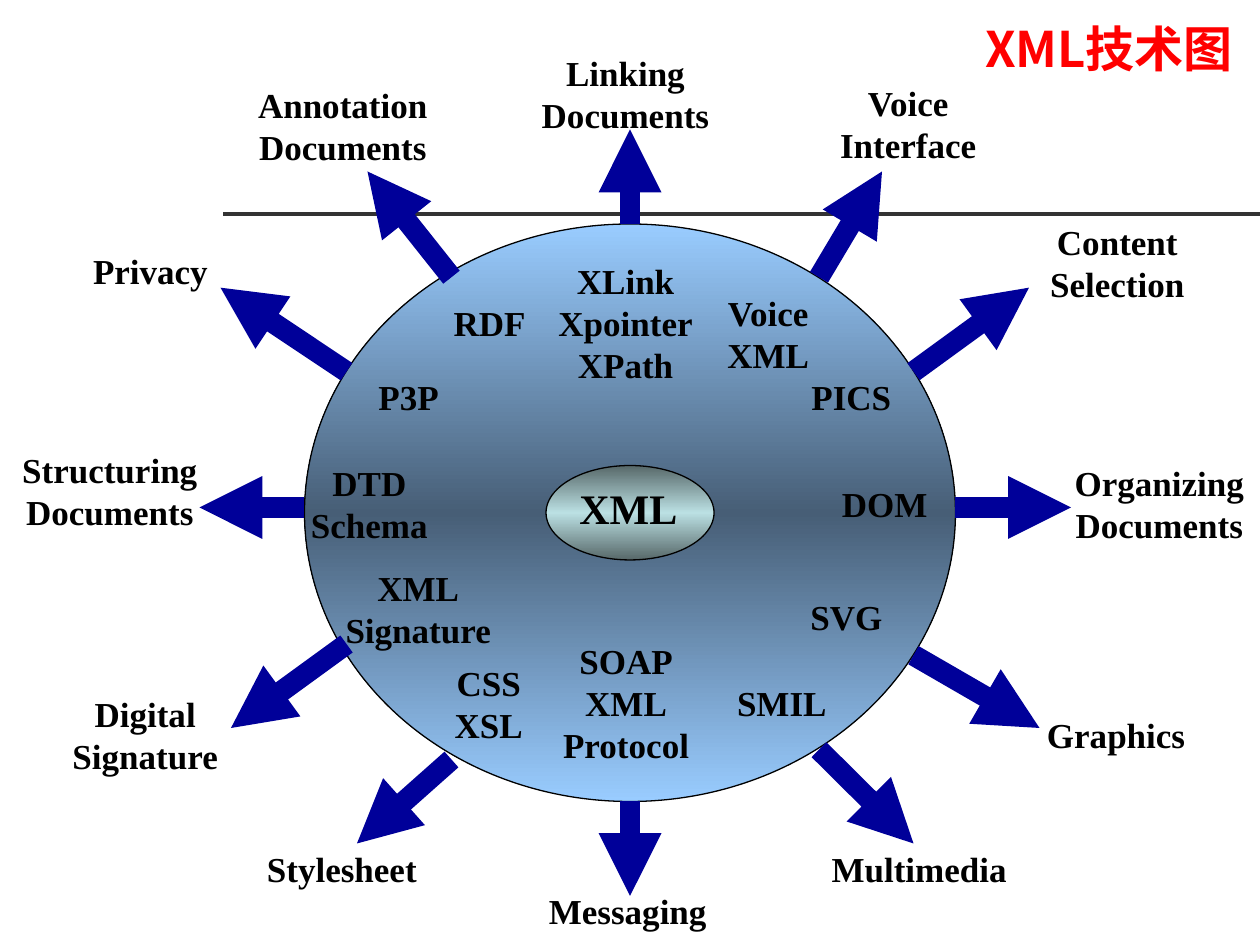
"""Build a slide of XML technologies radiating from a central ellipse."""
import copy

import pptx
import pptx.dml.color
import pptx.enum.shapes
import pptx.enum.text
import pptx.oxml
import pptx.oxml.ns
import pptx.util

Pt = pptx.util.Pt
ALIGN = pptx.enum.text.PP_ALIGN
STRAIGHT = pptx.enum.shapes.MSO_CONNECTOR.STRAIGHT


def color(value):
    return pptx.dml.color.RGBColor.from_string(value)


def add_text(shapes, text, left, top, width, height=None, size=20, font="Times New Roman",
             fill="000000", align=ALIGN.CENTER, anchor=pptx.enum.text.MSO_ANCHOR.TOP):
    lines = text.split("\n")
    height = height or 7.2 + 1.2 * size * len(lines)
    shape = shapes.add_textbox(Pt(left), Pt(top), Pt(width), Pt(height))
    frame = shape.text_frame
    frame.text = text
    frame.word_wrap = False
    frame.auto_size = pptx.enum.text.MSO_AUTO_SIZE.NONE
    frame.vertical_anchor = anchor
    for paragraph in frame.paragraphs:
        paragraph.alignment = align
        for run in paragraph.runs:
            run.font.size = Pt(size)
            run.font.bold = True
            run.font.name = font
            run.font.color.rgb = color(fill)
            east_asian = run.font._element.makeelement(pptx.oxml.ns.qn("a:ea"), {"typeface": font})
            run.font._element.append(east_asian)


presentation = pptx.Presentation()
presentation.slide_width = Pt(720)
presentation.slide_height = Pt(540)
slide = presentation.slides.add_slide(presentation.slide_layouts[6])

rule = slide.shapes.add_connector(STRAIGHT, Pt(127.5), Pt(122.5), Pt(720), Pt(122.5))
rule.line.color.rgb = color("333333")
rule.line.width = Pt(2.25)
pptx.oxml.ns.qn("a:effectLst")
rule._element.spPr.append(rule._element.makeelement(pptx.oxml.ns.qn("a:effectLst"), {}))

ellipses = [
    (174, 128, 372, 330, "99CCFF", "475E76"),
    (312, 266, 96, 54, "576869", "BBE0E3"),
]
for left, top, width, height, edge, middle in ellipses:
    shape = slide.shapes.add_shape(pptx.enum.shapes.MSO_SHAPE.OVAL,
                                   Pt(left), Pt(top), Pt(width), Pt(height))
    shape.shadow.inherit = False
    shape.line.color.rgb = color("000000")
    shape.line.width = Pt(0.75)
    shape.fill.gradient()
    shape.fill.gradient_angle = 270
    stop_list = shape._element.spPr.find(".//" + pptx.oxml.ns.qn("a:gsLst"))
    stop_list.insert(1, copy.deepcopy(stop_list[0]))
    for stop, position, value in zip(shape.fill.gradient_stops, (0, 0.5, 1), (edge, middle, edge)):
        stop.position = position
        stop.color.rgb = color(value)

add_text(slide.shapes, "XML技术图", 542, 9.4, 169.4, height=36, size=28, font="Noto Sans CJK SC",
         fill="FF0000", align=ALIGN.RIGHT, anchor=pptx.enum.text.MSO_ANCHOR.MIDDLE)
add_text(slide.shapes, "XML", 324, 272, 70.6, size=24, align=ALIGN.LEFT)

rays = [
    (("Content\nSelection", 593, 122.4, 91), ("PICS", 456.5, 211, 60), (522, 212.4, 588, 164.4)),
    (("Organizing\nDocuments", 607, 260, 111), ("DOM", 474, 272, 63), (546, 290, 612, 290)),
    (("Voice\nInterface", 473, 43, 92), ("Voice\nXML", 408, 163, 62), (468, 158.4, 504, 98)),
    (("Linking\nDocuments", 302.4, 26, 110), ("XLink\nXpointer\nXPath", 312, 145, 91),
     (360, 128, 360, 74)),
    (("Annotation\nDocuments", 140.4, 44, 111), ("RDF", 252, 169, 55.5), (258, 158.4, 210, 98)),
    (("Privacy", 46, 139, 80), ("P3P", 209, 211, 49), (198, 212.4, 126, 164.4)),
    (("Structuring\nDocuments", 5.5, 253, 114.5), ("DTD\nSchema", 170.6, 260, 81),
     (174, 290, 114, 290)),
    (("Digital\nSignature", 34, 392.4, 98), ("XML\nSignature", 190, 320.4, 98),
     (198, 368, 132, 416)),
    (("Stylesheet", 145.4, 481, 100), ("CSS\nXSL", 252.5, 374.4, 53.5), (258, 434, 204, 482)),
    (("Multimedia", 468, 481, 114.5), ("SMIL", 414, 386, 65.5), (468, 428.4, 522, 482)),
    (("Graphics", 591, 404, 93.6), ("SVG", 456, 337, 55.5), (522, 374.4, 594, 416)),
    (("Messaging", 306.5, 505, 104.4), ("SOAP\nXML\nProtocol", 314.6, 362, 86.4),
     (360, 458, 360, 512)),
]
for use, technology, ends in rays:
    group = slide.shapes.add_group_shape()
    add_text(group.shapes, *use)
    add_text(group.shapes, *technology)
    arrow = group.shapes.add_connector(STRAIGHT, *map(Pt, ends))
    arrow.line.color.rgb = color("000099")
    arrow.line.width = Pt(12)
    line = arrow.line._get_or_add_ln()
    line.append(line.makeelement(pptx.oxml.ns.qn("a:tailEnd"), {"type": "triangle"}))
    arrow._element.spPr.append(line.makeelement(pptx.oxml.ns.qn("a:effectLst"), {}))

presentation.save("out.pptx")
